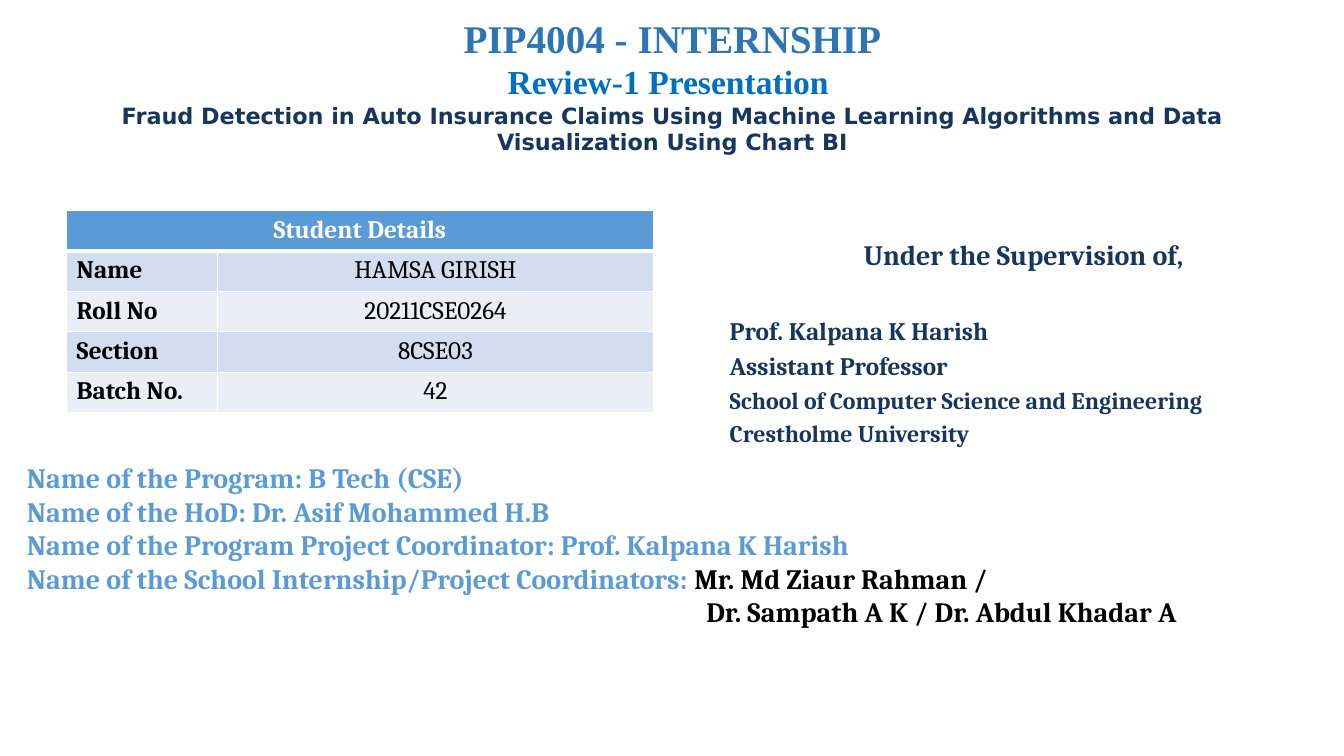
import pptx
import pptx.dml.color
import pptx.enum.text
import pptx.oxml
import pptx.oxml.ns
import pptx.util
from pptx.util import Cm

ALIGN = pptx.enum.text.PP_ALIGN
NAVY, SKY, BLACK, WHITE = "17365D", "5B9BD5", "000000", "FFFFFF"
BANDS = ("D2DEEF", "EAEFF7")


def color(hex_string):
    """Turn a hex string into a colour."""
    return pptx.dml.color.RGBColor.from_string(hex_string)


def add_span(para, text, size, hex_string, font="Cambria", bold=True):
    """Add one formatted run to a paragraph."""
    span = para.add_run()
    span.text = text
    span.font.name = font
    span.font.size = pptx.util.Pt(size)
    span.font.bold = bold
    span.font.color.rgb = color(hex_string)


def add_frame(page, box):
    """Add a wrapping text box and return its text frame."""
    frame = page.shapes.add_textbox(*box).text_frame
    frame.word_wrap = True
    return frame


def next_para(frame, index):
    """Return the first paragraph for index 0 and a new one otherwise."""
    return frame.add_paragraph() if index else frame.paragraphs[0]


def add_heading(page, box):
    """Place the centred course, review and project titles."""
    frame = add_frame(page, box)
    frame.margin_top = 0
    titles = [
        ("PIP4004 - INTERNSHIP", 28, "2E75B6", "Times New Roman"),
        ("Review-1 Presentation ", 24, "0070C0", "Times New Roman"),
        ("Fraud Detection in Auto Insurance Claims Using Machine Learning "
         "Algorithms and Data Visualization Using Chart BI", 16, NAVY, "DejaVu Sans"),
    ]
    for index, title in enumerate(titles):
        para = next_para(frame, index)
        para.alignment = ALIGN.CENTER
        add_span(para, *title)


def add_borders(cell, widths):
    """Draw white borders, given as points per side tag."""
    properties = cell._tc.get_or_add_tcPr()
    for side, width in widths.items():
        properties.append(pptx.oxml.parse_xml(
            f'<a:{side} {pptx.oxml.ns.nsdecls("a")} w="{pptx.util.Pt(width)}">'
            f'<a:solidFill><a:srgbClr val="{WHITE}"/></a:solidFill></a:{side}>'))


def add_student_table(page, box):
    """Place the student details table."""
    rows = [
        ("Student Details", ""),
        ("Name", "HAMSA GIRISH"),
        ("Roll No", "20211CSE0264"),
        ("Section", "8CSE03"),
        ("Batch No.", "42"),
    ]
    table = page.shapes.add_table(len(rows), 2, *box).table
    label_width = Cm(3.81)
    table.columns[0].width = label_width
    table.columns[1].width = box[2] - label_width
    table.cell(0, 0).merge(table.cell(0, 1))
    for r, texts in enumerate(rows):
        for c, text in enumerate(texts):
            cell = table.cell(r, c)
            add_borders(cell, {"lnL": 1, "lnR": 1, "lnT": 3 if r == 1 else 1,
                               "lnB": 3 if r == 0 else 1})
            cell.fill.solid()
            cell.fill.fore_color.rgb = color(BANDS[(r - 1) % 2] if r else SKY)
            if text:
                para = cell.text_frame.paragraphs[0]
                para.alignment = ALIGN.CENTER if r == 0 or c else ALIGN.LEFT
                add_span(para, text, 18, BLACK if r else WHITE, bold=c == 0)


def add_supervisor(page, box):
    """Place the supervisor heading and details."""
    frame = add_frame(page, box)
    lines = [
        ("Under the Supervision of,", 20, 0),
        ("Prof. Kalpana K Harish", 18, 31.5),
        ("Assistant Professor", 18, 3.4),
        ("School of Computer Science and Engineering", 17, 3.4),
        ("Crestholme University", 17, 3.4),
    ]
    for index, (text, size, gap) in enumerate(lines):
        para = next_para(frame, index)
        para.alignment = ALIGN.LEFT if index else ALIGN.CENTER
        para.space_before = pptx.util.Pt(gap)
        add_span(para, text, size, NAVY)


def add_program_details(page, box):
    """Place the program, department head and coordinator lines."""
    frame = add_frame(page, box)
    lines = [
        [("Name of the Program: B Tech (CSE)", SKY)],
        [("Name of the HoD: Dr. Asif Mohammed H.B", SKY)],
        [("Name of the Program Project Coordinator: Prof. Kalpana K Harish", SKY)],
        [("Name of the School Internship/Project Coordinators: ", SKY),
         ("Mr. Md Ziaur Rahman /", BLACK)],
        [("Dr. Sampath A K / Dr. Abdul Khadar A", BLACK)],
    ]
    for index, spans in enumerate(lines):
        para = next_para(frame, index)
        for text, hex_string in spans:
            add_span(para, text, 20, hex_string)
    para._p.get_or_add_pPr().set("marL", str(Cm(17.12)))


def main():
    """Build and save the deck."""
    deck = pptx.Presentation()
    deck.slide_width, deck.slide_height = Cm(33.87), Cm(19.05)
    page = deck.slides.add_slide(deck.slide_layouts[6])
    add_supervisor(page, (Cm(18.14), Cm(5.87), Cm(15.32), Cm(5.61)))
    add_program_details(page, (Cm(0.43), Cm(11.48), Cm(34.04), Cm(4.34)))
    add_heading(page, (Cm(2.34), Cm(0.36), Cm(29.21), Cm(4.34)))
    add_student_table(page, (Cm(1.68), Cm(5.31), Cm(14.78), Cm(5.08)))
    deck.save("out.pptx")


if __name__ == "__main__":
    main()
